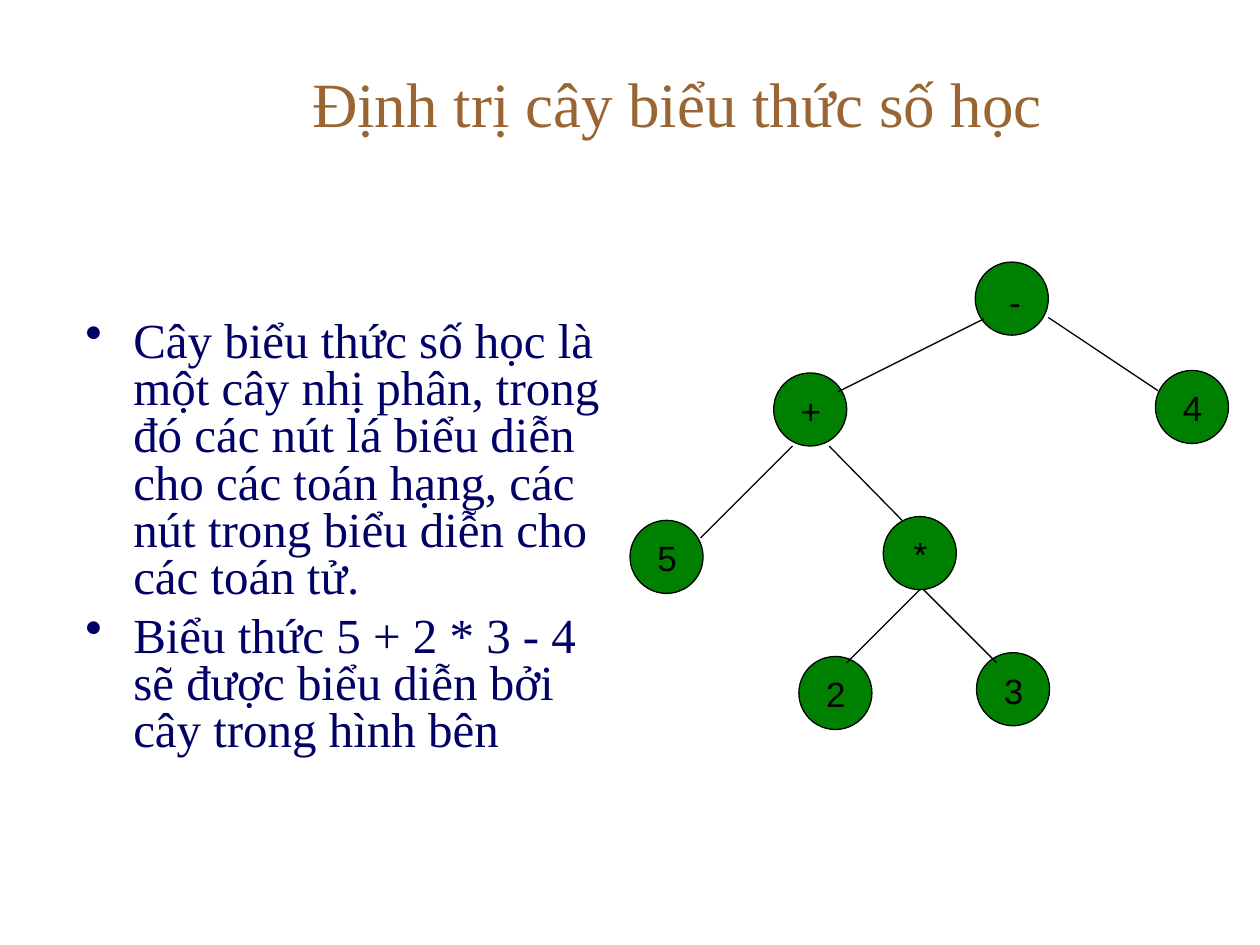
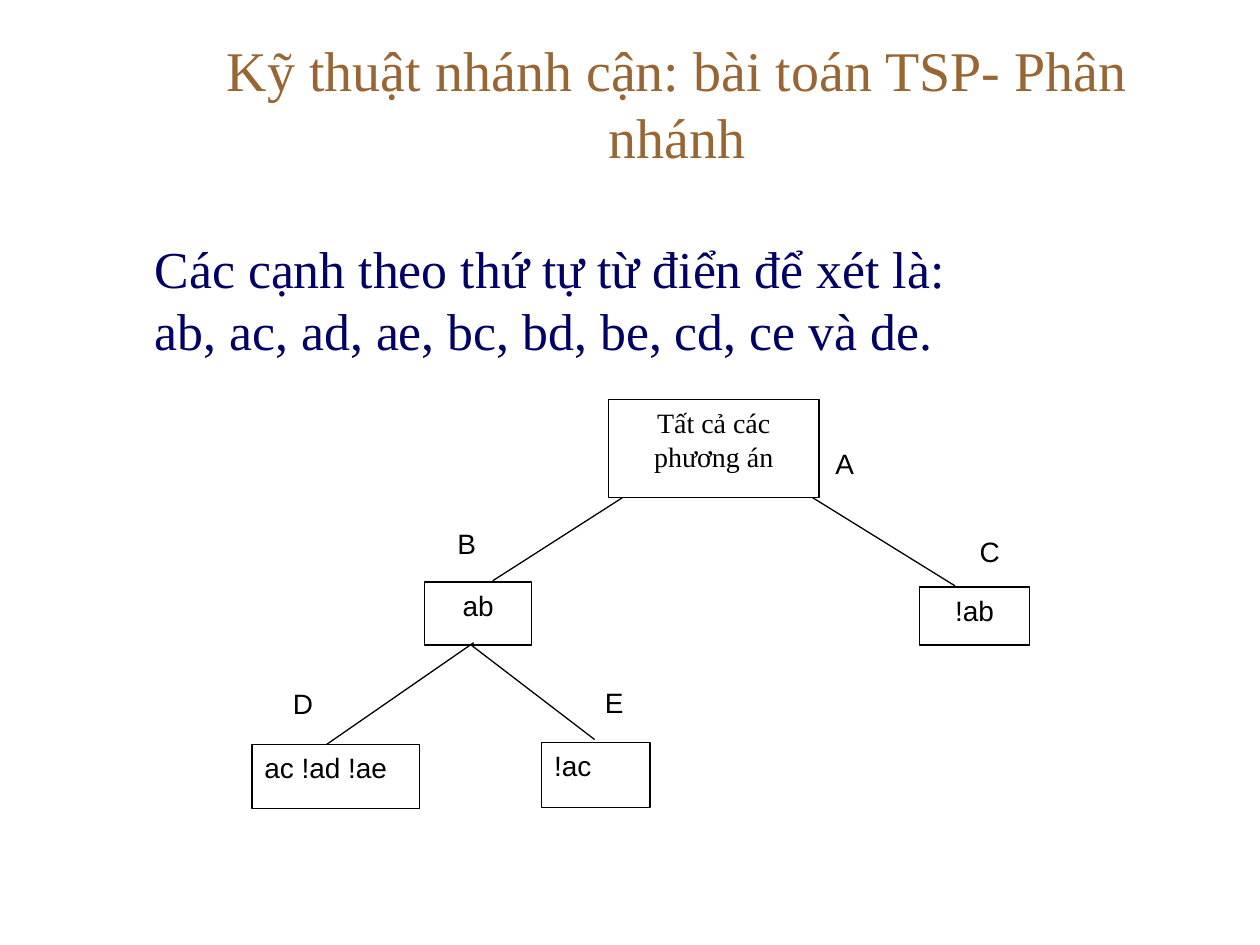
import pptx
import pptx.util
import pptx.dml.color
import pptx.enum.shapes
import pptx.enum.text
from lxml import etree

Inches = pptx.util.Inches
Pt = pptx.util.Pt
SHAPE = pptx.enum.shapes.MSO_SHAPE
ALIGN = pptx.enum.text.PP_ALIGN
ANCHOR = pptx.enum.text.MSO_ANCHOR
NS = "{http://schemas.openxmlformats.org/drawingml/2006/main}"
SERIF, SANS = "Times New Roman", "Arial"
COLORS = {"title": "996633", "body": "000066", "node": "008000", "ink": "000000"}


class Deck:
    line_width = Pt(0.74)
    node_size = 0.58

    def __init__(self):
        self.prs = pptx.Presentation()
        self.prs.slide_width, self.prs.slide_height = Inches(10), Inches(7.5)
        self.s = None

    def color(self, name):
        return pptx.dml.color.RGBColor.from_string(COLORS[name])

    def new_slide(self, title, size):
        self.s = self.prs.slides.add_slide(self.prs.slide_layouts[6])
        sp = self.box(1.25, 0.3, 8.25, 1.03)
        self.set_text(sp, [title], size, SERIF, "title", anchor=ANCHOR.MIDDLE)

    def box(self, x, y, w, h):
        return self.s.shapes.add_textbox(Inches(x), Inches(y), Inches(w), Inches(h))

    def set_text(self, sp, lines, size, font=SANS, color="ink", align=ALIGN.CENTER,
                 before=0, inset=(0.1, 0.05), anchor=ANCHOR.TOP, spacing=1.0):
        tf = sp.text_frame
        mx, my = map(Inches, inset)
        frame = {"word_wrap": True, "vertical_anchor": anchor, "margin_left": mx,
                 "margin_right": mx, "margin_top": my, "margin_bottom": my}
        for key, value in frame.items():
            setattr(tf, key, value)
        for i, line in enumerate(lines):
            p = tf.add_paragraph() if i else tf.paragraphs[0]
            p.text = line
            for key, value in {"alignment": align, "space_before": Pt(before),
                               "line_spacing": spacing}.items():
                setattr(p, key, value)
            for r in p.runs:
                for key, value in {"size": Pt(size), "name": font}.items():
                    setattr(r.font, key, value)
                r.font.color.rgb = self.color(color)
        return tf

    def body(self, lines, at, size, before, bullet=None, spacing=1.0):
        tf = self.set_text(self.box(*at), lines, size, SERIF, "body", ALIGN.LEFT,
                           before, spacing=spacing)
        for p in tf.paragraphs:
            pPr = p._p.get_or_add_pPr()
            pPr.set("marL", str(Inches(0.38)))
            if bullet:
                pPr.set("indent", str(Inches(-0.38)))
                clr = etree.SubElement(pPr, NS + "buClr")
                etree.SubElement(clr, NS + "srgbClr", val=COLORS["body"])
                etree.SubElement(pPr, NS + "buChar", char=bullet)

    def shape(self, kind, x, y, w, h, fill=None, outline=True):
        sp = self.s.shapes.add_shape(kind, Inches(x), Inches(y), Inches(w), Inches(h))
        sp.shadow.inherit = False
        if fill:
            sp.fill.solid()
            sp.fill.fore_color.rgb = self.color(fill)
        else:
            sp.fill.background()
        if outline:
            sp.line.color.rgb = self.color("ink")
            sp.line.width = self.line_width
        else:
            sp.line.fill.background()
        return sp

    def node(self, text, x, y, dx=0.12, dy=0.13):
        self.shape(SHAPE.OVAL, x, y, self.node_size, self.node_size, "node")
        sp = self.shape(SHAPE.RECTANGLE, x + dx, y + dy, 0.35, 0.31, "node", False)
        self.set_text(sp, [text], 20, before=5, inset=(0, 0))

    def state(self, text, x, y, w, h, **style):
        sp = self.shape(SHAPE.RECTANGLE, x, y, w, h)
        self.set_text(sp, [text], 16, **{"before": 4, **style})

    def label(self, text, x, y):
        self.set_text(self.box(x, y, 0.37, 0.41), [text], 16, before=4, inset=(0, 0))

    def edge(self, x1, y1, x2, y2):
        c = self.s.shapes.add_connector(pptx.enum.shapes.MSO_CONNECTOR.STRAIGHT,
                                        *map(Inches, (x1, y1, x2, y2)))
        c.line.color.rgb = self.color("ink")
        c.line.width = self.line_width
        etree.SubElement(c._element.spPr, NS + "effectLst")


deck = Deck()

deck.new_slide("Ðịnh trị cây biểu thức số học", 36)
deck.body([
    "Cây biểu thức số học là một cây nhị phân, trong đó các nút lá biểu diễn "
    "cho các toán hạng, các nút trong biểu diễn cho các toán tử.",
    "Biểu thức 5 + 2 * 3 - 4 sẽ được biểu diễn bởi cây trong hình bên",
], (0.58, 2.5, 4.33, 4), 28, 7, bullet="•", spacing=0.8)
deck.node("-", 7.74, 2.08, 0.14, 0.15)
for text, x, y in [("+", 6.14, 2.96), ("4", 9.17, 2.94), ("5", 5, 4.13),
                   ("*", 7.01, 4.1), ("2", 6.34, 5.21), ("3", 7.75, 5.18)]:
    deck.node(text, x, y)
for ends in [(7.81, 2.53, 6.65, 3.11), (8.32, 2.52, 9.19, 3.1),
             (6.29, 3.54, 5.56, 4.27), (6.58, 3.54, 7.16, 4.13),
             (7.3, 4.68, 6.72, 5.26), (7.33, 4.68, 7.91, 5.26)]:
    deck.edge(*ends)

deck.new_slide("Kỹ thuật nhánh cận: bài toán TSP- Phân nhánh", 32)
deck.body(["Các cạnh theo thứ tự từ điển để xét là:\v"
           "ab, ac, ad, ae, bc, bd, be, cd, ce và de."],
          (0.75, 1.83, 8.75, 1.15), 29.6, 8)
deck.state("Tất cả các phương án", 4.83, 3.17, 1.67, 0.78, font=SERIF)
deck.state("ab", 3.37, 4.62, 0.85, 0.5)
deck.state("!ab", 7.3, 4.66, 0.87, 0.46)
deck.state("ac !ad !ae", 2, 5.91, 1.33, 0.51, align=ALIGN.LEFT, before=8)
deck.state("!ac", 4.3, 5.89, 0.86, 0.52, align=ALIGN.LEFT)
for text, x, y in [("A", 6.52, 3.54), ("B", 3.52, 4.18), ("C", 7.67, 4.24),
                   ("D", 2.22, 5.45), ("E", 4.69, 5.44)]:
    deck.label(text, x, y)
for ends in [(4.94, 3.95, 3.91, 4.61), (6.45, 3.95, 7.58, 4.65),
             (3.76, 5.1, 2.59, 5.91), (3.74, 5.12, 4.72, 5.87)]:
    deck.edge(*ends)

deck.prs.save("out.pptx")
